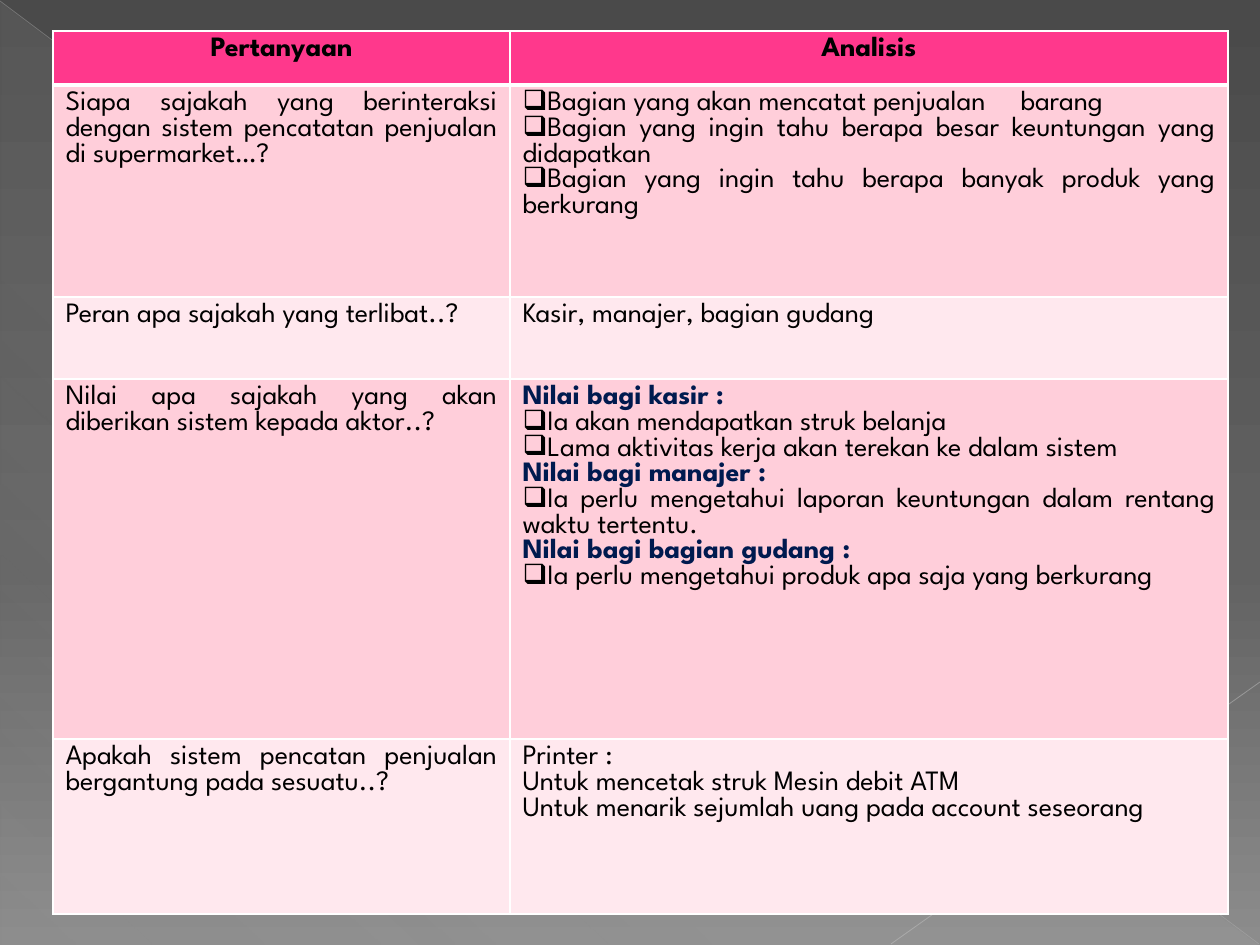
from dataclasses import dataclass

from lxml import etree
from pptx import Presentation
from pptx.dml.color import RGBColor
from pptx.enum.shapes import MSO_CONNECTOR, MSO_SHAPE
from pptx.enum.text import PP_ALIGN
from pptx.oxml import parse_xml
from pptx.oxml.ns import nsdecls, qn
from pptx.util import Pt

STRAIGHT = MSO_CONNECTOR.STRAIGHT
RIGHT_TRIANGLE = MSO_SHAPE.RIGHT_TRIANGLE
CENTER, JUSTIFY = PP_ALIGN.CENTER, PP_ALIGN.JUSTIFY


@dataclass
class Theme:
    font: str = "League Spartan"
    size: int = 16
    text: str = "000000"
    heading: str = "001A4F"
    header_fill: str = "FF388C"
    odd_fill: str = "FFCEDA"
    even_fill: str = "FFE8EE"
    border: str = "FFFFFF"
    sheen: str = "D2D2D2"
    backdrop: tuple = ("4A4A4A", "626262", "8C8C8C")
    diagonal: str = "BFBFBF"
    corner: str = "C6C6C6"


theme = Theme()


def px(n):
    return round(n * 914400 / 126)


def set_gradient(fill, element, stops, angle):
    fill.gradient()
    grad = element.find(".//" + qn("a:gradFill"))
    for child in list(grad):
        grad.remove(child)
    gs_list = etree.SubElement(grad, qn("a:gsLst"))
    for pos, color, alpha in stops:
        gs = etree.SubElement(gs_list, qn("a:gs"), pos=str(pos * 1000))
        clr = etree.SubElement(gs, qn("a:srgbClr"), val=color)
        etree.SubElement(clr, qn("a:alpha"), val=str(alpha * 1000))
    etree.SubElement(grad, qn("a:lin"), ang=str(angle * 60000), scaled="0")


prs = Presentation()
prs.slide_width, prs.slide_height = px(1260), px(945)
s = prs.slides.add_slide(prs.slide_layouts[6])
dark, mid, light = theme.backdrop
set_gradient(s.background.fill, s.element,
             [(0, dark, 100), (60, mid, 100), (100, light, 100)], 90)

sp = s.shapes.add_shape(RIGHT_TRIANGLE, px(1), px(2), px(1258), px(943))
sp.shadow.inherit = False
sp.line.fill.background()
set_gradient(sp.fill, sp.element,
             [(0, theme.sheen, 10), (70, theme.sheen, 8), (100, theme.sheen, 1)], 133)

for x1, y1, x2, y2, color, width, alpha in [
    (0, 1, 1259, 944, theme.diagonal, 0.39, 35),
    (1260, 682, 891, 944, theme.corner, 0.47, 45),
]:
    line = s.shapes.add_connector(STRAIGHT, px(x1), px(y1), px(x2), px(y2))
    line.line.color.rgb = RGBColor.from_string(color)
    line.line.width = Pt(width)
    clr = line.element.find(".//" + qn("a:srgbClr"))
    etree.SubElement(clr, qn("a:alpha"), val=str(alpha * 1000))
    etree.SubElement(line.element.spPr, qn("a:effectLst"))

PLAIN, BULLET, HEADING, TITLE = range(4)
rows = [
    ([(TITLE, "Pertanyaan")], [(TITLE, "Analisis")]),
    (
        [(PLAIN, "Siapa sajakah yang berinteraksi dengan sistem pencatatan penjualan di supermarket…?")],
        [
            (BULLET, "Bagian yang akan mencatat penjualan\tbarang"),
            (BULLET, "Bagian yang ingin tahu berapa besar keuntungan yang didapatkan"),
            (BULLET, "Bagian yang ingin tahu berapa banyak produk yang berkurang"),
        ],
    ),
    (
        [(PLAIN, "Peran apa sajakah yang terlibat..?")],
        [(PLAIN, "Kasir, manajer, bagian gudang")],
    ),
    (
        [(PLAIN, "Nilai apa sajakah yang akan diberikan sistem kepada aktor..?")],
        [
            (HEADING, "Nilai bagi kasir :"),
            (BULLET, "Ia akan mendapatkan struk belanja"),
            (BULLET, "Lama aktivitas kerja akan terekan ke dalam sistem"),
            (HEADING, "Nilai bagi manajer :"),
            (BULLET, "Ia perlu mengetahui laporan keuntungan dalam rentang waktu tertentu."),
            (HEADING, "Nilai bagi bagian gudang :"),
            (BULLET, "Ia perlu mengetahui produk apa saja yang berkurang"),
        ],
    ),
    (
        [(PLAIN, "Apakah sistem pencatan penjualan bergantung pada sesuatu..?")],
        [
            (PLAIN, "Printer :"),
            (PLAIN, "Untuk mencetak struk Mesin debit ATM"),
            (PLAIN, "Untuk menarik sejumlah uang pada account seseorang"),
        ],
    ),
]
col_widths = [457, 718]
row_heights = [54, 212, 82, 360, 175]

table = s.shapes.add_table(len(rows), len(col_widths), px(53), px(31),
                           px(sum(col_widths)), px(sum(row_heights))).table
for col, width in zip(table.columns, col_widths):
    col.width = px(width)
for row, height in zip(table.rows, row_heights):
    row.height = px(height)

for i, row in enumerate(rows):
    row_fill = theme.header_fill if i == 0 else theme.odd_fill if i % 2 else theme.even_fill
    for j, paragraphs in enumerate(row):
        cell = table.cell(i, j)
        cell.fill.solid()
        cell.fill.fore_color.rgb = RGBColor.from_string(row_fill)
        tcPr = cell._tc.get_or_add_tcPr()
        for k, side in enumerate("LRTB"):
            width = 3 if (i, side) in [(0, "B"), (1, "T")] else 1
            tcPr.insert(k, parse_xml(
                f'<a:ln{side} {nsdecls("a")} w="{Pt(width)}"><a:solidFill>'
                f'<a:srgbClr val="{theme.border}"/></a:solidFill></a:ln{side}>'))

        tf = cell.text_frame
        for n, (kind, text) in enumerate(paragraphs):
            p = tf.add_paragraph() if n else tf.paragraphs[0]
            p.alignment = CENTER if kind == TITLE else JUSTIFY
            pPr = p._p.get_or_add_pPr()
            if kind == BULLET:
                etree.SubElement(pPr, qn("a:buChar"), char="❑")
            if "\t" in text:
                tabs = etree.SubElement(pPr, qn("a:tabLst"))
                etree.SubElement(tabs, qn("a:tab"), pos=str(px(498)), algn="l")
            r = p.add_run()
            r.text = text
            r.font.name = theme.font
            r.font.size = Pt(theme.size)
            r.font.bold = kind in (HEADING, TITLE)
            r.font.color.rgb = RGBColor.from_string(
                theme.heading if kind == HEADING else theme.text)

prs.save("out.pptx")
